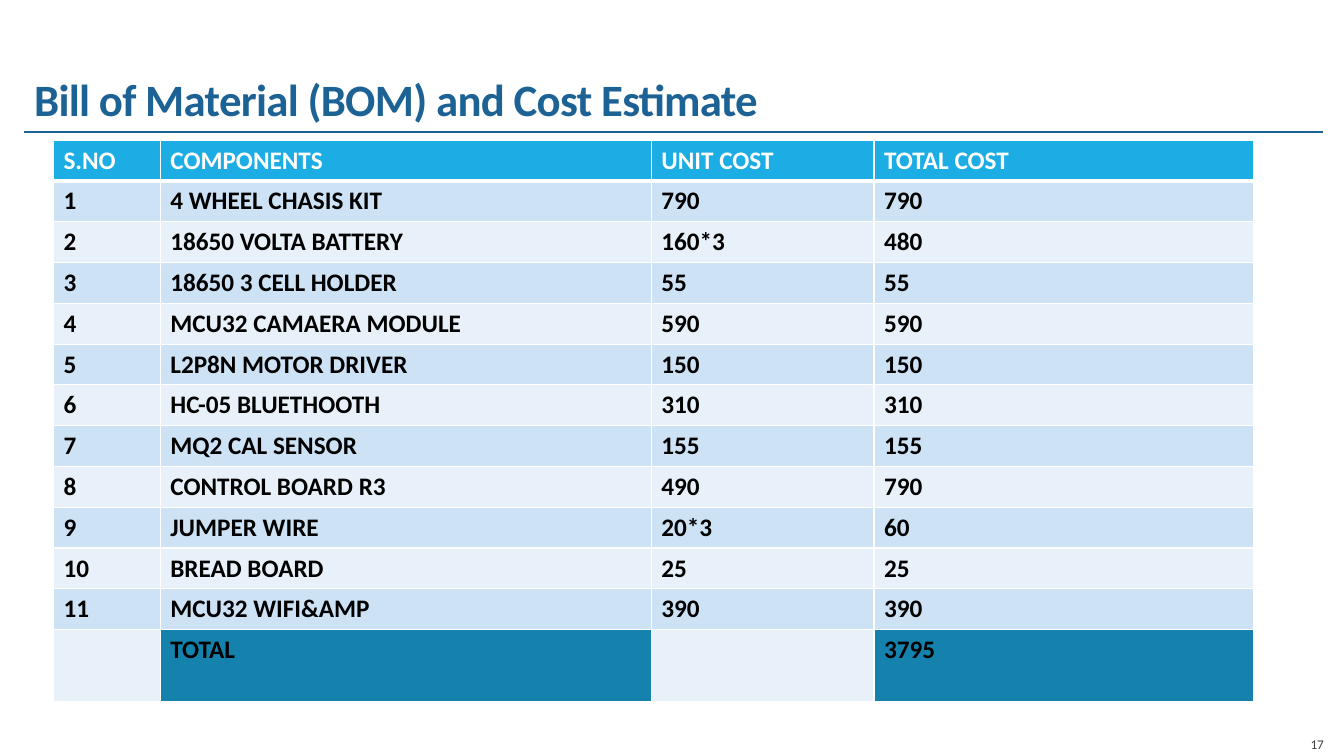
from dataclasses import dataclass

from lxml.etree import SubElement
from pptx import Presentation
from pptx.dml.color import RGBColor
from pptx.enum.shapes import MSO_CONNECTOR
from pptx.enum.text import MSO_ANCHOR, PP_ALIGN
from pptx.oxml.ns import qn
from pptx.util import Inches, Pt


@dataclass(frozen=True)
class Theme:
    font: str = "Calibri"
    title: str = "1D6294"
    number: str = "404040"
    header: str = "1CADE4"
    bands: tuple = ("CDE3F5", "E8F1FA")
    total: str = "1482AC"
    light: str = "FFFFFF"
    dark: str = "000000"
    title_size: float = 32
    table_size: float = 18
    number_size: float = 9.5
    thin: float = 1
    thick: float = 3


UNIT = 0.1
HEADINGS = ("S.NO", "COMPONENTS", "UNIT COST", "TOTAL COST")
ITEMS = [
    ("4 WHEEL CHASIS KIT", "790", "790"),
    ("18650 VOLTA BATTERY", "160*3", "480"),
    ("18650 3 CELL HOLDER", "55", "55"),
    ("MCU32 CAMAERA MODULE", "590", "590"),
    ("L2P8N MOTOR DRIVER", "150", "150"),
    ("HC-05 BLUETHOOTH", "310", "310"),
    ("MQ2 CAL SENSOR", "155", "155"),
    ("CONTROL BOARD R3", "490", "790"),
    ("JUMPER WIRE", "20*3", "60"),
    ("BREAD BOARD", "25", "25"),
    ("MCU32 WIFI&AMP", "390", "390"),
]
TOTALS = ("", "TOTAL", "", "3795")


def grid(*lengths):
    return [Inches(n * UNIT) for n in lengths]


def write(tf, text, *, font, size, color, bold=False, align=PP_ALIGN.LEFT,
          leading=None, tracking=None):
    p = tf.paragraphs[0]
    p.alignment = align
    if leading:
        p.line_spacing = leading
    r = p.add_run()
    r.text = text
    r.font.name = font
    r.font.size = Pt(size)
    r.font.bold = bold
    r.font.color.rgb = RGBColor.from_string(color)
    if tracking:
        r.font._element.set("spc", str(round(tracking * 100)))


def border(cell, side, color, width):
    tcPr = cell._tc.get_or_add_tcPr()
    ln = SubElement(tcPr, qn(f"a:ln{side}"), w=str(Pt(width)))
    fill = SubElement(ln, qn("a:solidFill"))
    SubElement(fill, qn("a:srgbClr"), val=color)


class SlideBuilder:
    def __init__(self, prs, theme):
        self.theme = theme
        self.s = prs.slides.add_slide(prs.slide_layouts[6])

    def text(self, text, x, y, w, h, **style):
        tf = self.s.shapes.add_textbox(*grid(x, y, w, h)).text_frame
        tf.word_wrap = True
        tf.vertical_anchor = MSO_ANCHOR.BOTTOM
        write(tf, text, font=self.theme.font, **style)

    def rule(self, x1, y1, x2, y2, color, width):
        line = self.s.shapes.add_connector(
            MSO_CONNECTOR.STRAIGHT, *grid(x1, y1, x2, y2))
        line.line.color.rgb = RGBColor.from_string(color)
        line.line.width = Pt(width)
        SubElement(line._element.spPr, qn("a:effectLst"))

    def cost_table(self, rows, x, y, widths, heights):
        frame = self.s.shapes.add_table(
            len(rows), len(widths), *grid(x, y, sum(widths), sum(heights)))
        table = frame.table
        table.horz_banding = False
        for column, width in zip(table.columns, grid(*widths)):
            column.width = width
        for row, height in zip(table.rows, grid(*heights)):
            row.height = height
        for i, values in enumerate(rows):
            for j, value in enumerate(values):
                self.cost_cell(table.cell(i, j), value, i, i == len(rows) - 1)

    def cost_cell(self, cell, value, i, is_last):
        t = self.theme
        for side in "LRTB":
            under_header = (i, side) in ((0, "B"), (1, "T"))
            border(cell, side, t.light, t.thick if under_header else t.thin)
        if i == 0:
            fill = t.header
        elif is_last and value:
            fill = t.total
        else:
            fill = t.bands[(i - 1) % 2]
        cell.fill.solid()
        cell.fill.fore_color.rgb = RGBColor.from_string(fill)
        if value:
            write(cell.text_frame, value, font=t.font, size=t.table_size,
                  color=t.dark if i else t.light, bold=True)


def main():
    prs = Presentation()
    prs.slide_width, prs.slide_height = Inches(13.33), Inches(7.5)
    theme = Theme()
    slide = SlideBuilder(prs, theme)
    slide.rule(2.4, 13.1, 131.2, 13.1, theme.title, theme.thin)
    slide.text("Bill of Material (BOM) and Cost Estimate", 2.4, 3.1, 128.8, 9.9,
               size=theme.title_size, color=theme.title, bold=True,
               leading=0.85, tracking=-0.5)
    slide.text("17", 118, 71.1, 14.3, 4, size=theme.number_size,
               color=theme.number, align=PP_ALIGN.RIGHT)
    numbered = [(str(n), *item) for n, item in enumerate(ITEMS, 1)]
    rows = [HEADINGS, *numbered, TOTALS]
    slide.cost_table(rows, 5.3, 13.9, (10.6, 48.7, 22.1, 37.6),
                     [4.05] * (len(rows) - 1) + [7.1])
    prs.save("out.pptx")


if __name__ == "__main__":
    main()
